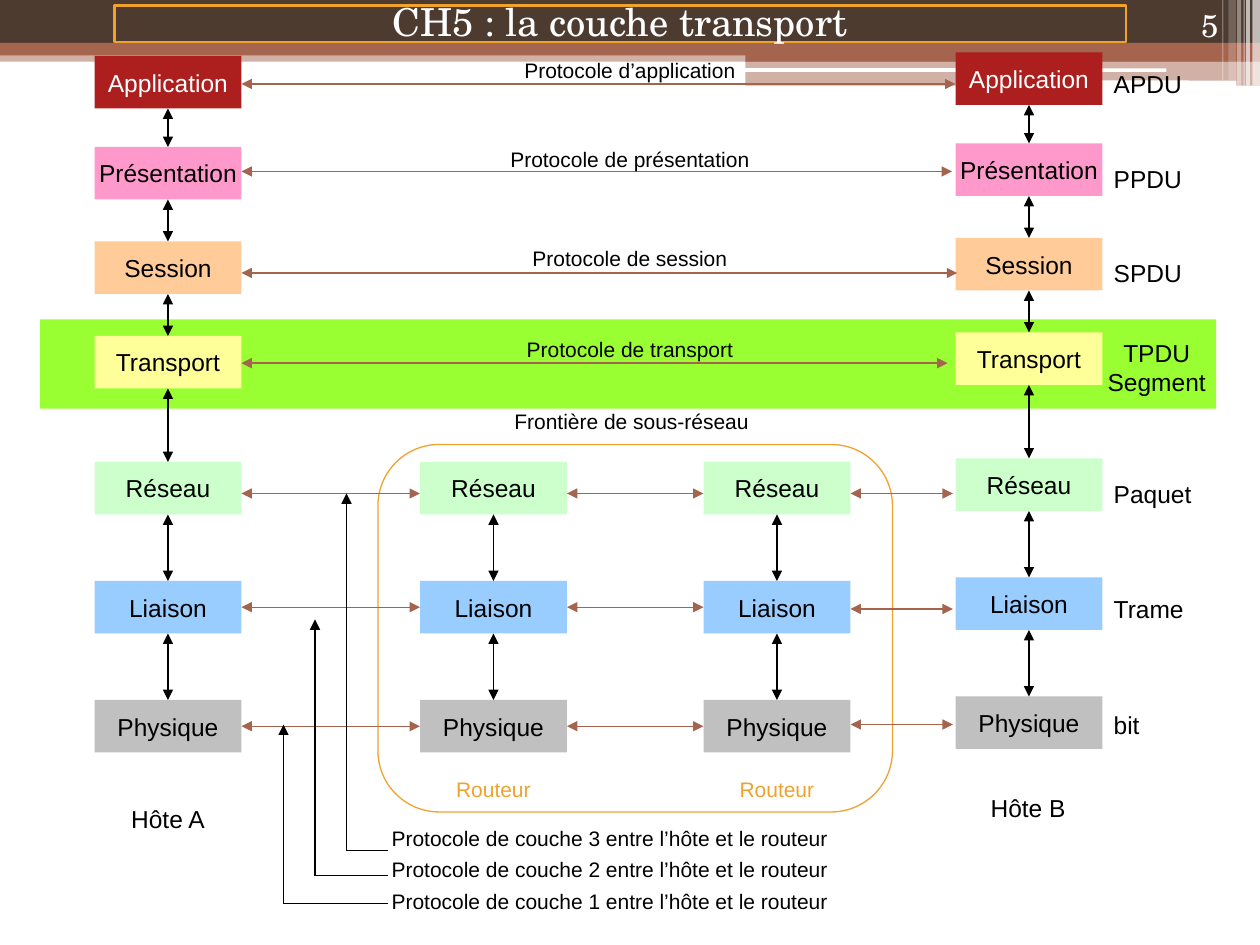
import pptx
import pptx.util
import pptx.dml.color
import pptx.enum.shapes
import pptx.enum.text
import pptx.oxml
import pptx.oxml.ns

Pt = pptx.util.Pt
SHAPE = pptx.enum.shapes.MSO_SHAPE
ALIGN = pptx.enum.text.PP_ALIGN
ANCHOR = pptx.enum.text.MSO_ANCHOR
AUTO = pptx.enum.text.MSO_AUTO_SIZE
qn = pptx.oxml.ns.qn

COLORS = {
    "black": "000000", "white": "FFFFFF", "brown": "4E3B30", "rust": "A5644E",
    "orange": "F0A22E", "highlight": "99FF33", "application": "AD1F1F",
    "presentation": "FF99CC", "session": "FFCC99", "transport": "FFFF99",
    "network": "CCFFCC", "link": "99CCFF", "physical": "C0C0C0",
}
BANDS = [
    (0, 28.8, 720, 6.5, "rust", 50), (0, 0, 720, 24.5, "brown", 100),
    (0, 24.5, 720, 7.2, "rust", 100), (426, 28, 294, 7.2, "rust", 100),
    (426, 34.6, 294, 14.4, "rust", 50),
]
PILLS = [(425.5, 39, 241, 2), (580.5, 46, 126, 3.2)]
STRIPES = [
    (715.7, 4.3, 49, 65), (712.1, 2.2, 49, 65), (710.6, 0.7, 49, 60),
    (707, 2.2, 49, 40), (702, 4.3, 46, 20), (698.4, 0.7, 46, 30),
]
LAYERS = [
    ("Application", "application", 32), ("Présentation", "presentation", 84),
    ("Session", "session", 138), ("Transport", "transport", 192),
    ("Réseau", "network", 264), ("Liaison", "link", 332),
    ("Physique", "physical", 400),
]
STACKS = [(54, 0, 0), (240, 0, 4), (402, 0, 4), (546, -2, 0)]
BOX_W, BOX_H = 84, 30
PEERS = [
    ("Protocole d’application", 546, 48, 29.5),
    ("Protocole de présentation", 544, 98, 80),
    ("Protocole de session", 547, 156, 137),
    ("Protocole de transport", 541.5, 207.5, 188.5),
]
ROUTED_ROWS = {4: 282, 5: 348, 6: 414}
NOTES = [
    ("Protocole de couche 3 entre l’hôte et le routeur", 198, 282, 486, 468),
    ("Protocole de couche 2 entre l’hôte et le routeur", 180, 354, 500.5, 486),
    ("Protocole de couche 1 entre l’hôte et le routeur", 162, 414, 516.5, 504),
]
UNITS = [("APDU", 35.5), ("PPDU", 90), ("SPDU", 143.5), ("Paquet", 270),
         ("Trame", 335.5), ("bit", 402)]
HOSTS = [("Hôte A", 96, 455.5), ("Hôte B", 587.5, 449.5)]

deck = pptx.Presentation()
deck.slide_width, deck.slide_height = Pt(720), Pt(540)
page = deck.slides.add_slide(deck.slide_layouts[5])


def rgb(name):
    return pptx.dml.color.RGBColor.from_string(COLORS[name])


def add_block(left, top, width, height, fill=None, opacity=100,
              kind=SHAPE.RECTANGLE, line=None):
    shape = page.shapes.add_shape(kind, Pt(left), Pt(top), Pt(width), Pt(height))
    shape.shadow.inherit = False
    if fill:
        shape.fill.solid()
        shape.fill.fore_color.rgb = rgb(fill)
        if opacity < 100:
            color = shape.element.spPr.find(".//" + qn("a:srgbClr"))
            names = pptx.oxml.ns.nsdecls("a")
            color.append(pptx.oxml.parse_xml(f'<a:alpha {names} val="{opacity * 1000}"/>'))
    else:
        shape.fill.background()
    if line:
        shape.line.color.rgb = rgb(line)
        shape.line.width = Pt(0.75)
    else:
        shape.line.fill.background()
    return shape


def write(shape, text, size, color="black", align=ALIGN.CENTER,
          font="Arial", anchor=ANCHOR.MIDDLE, wrap=False):
    frame = shape.text_frame
    frame.text = text
    frame.word_wrap = wrap
    frame.vertical_anchor = anchor
    for para in frame.paragraphs:
        para.alignment = align
        for span in para.runs:
            span.font.name = font
            span.font.size = Pt(size)
            span.font.color.rgb = rgb(color)


def add_label(text, left, top, width, height, size, **style):
    box = page.shapes.add_textbox(Pt(left), Pt(top), Pt(width), Pt(height))
    write(box, text, size, **style)
    box.text_frame.auto_size = AUTO.SHAPE_TO_FIT_TEXT


def add_line(x1, y1, x2, y2, color="black", ends=("headEnd", "tailEnd")):
    line = page.shapes.add_connector(
        pptx.enum.shapes.MSO_CONNECTOR.STRAIGHT, Pt(x1), Pt(y1), Pt(x2), Pt(y2))
    line.line.color.rgb = rgb(color)
    line.line.width = Pt(0.75)
    names = pptx.oxml.ns.nsdecls("a")
    outline = line.element.spPr.find(qn("a:ln"))
    for end in ends:
        outline.append(pptx.oxml.parse_xml(f'<a:{end} {names} type="triangle"/>'))
    line.element.spPr.append(pptx.oxml.parse_xml(f"<a:effectLst {names}/>"))
    return line


def join(line, first, first_side, second, second_side):
    line.begin_connect(first, first_side)
    line.end_connect(second, second_side)


for band in BANDS:
    add_block(*band)
for pill in PILLS:
    add_block(*pill, "white", kind=SHAPE.ROUNDED_RECTANGLE)
for left, width, height, opacity in STRIPES:
    add_block(left, 0, width, height, "white", opacity)
add_block(23, 182.5, 672, 51, "highlight")

stacks = []
for left, shift, first_layer in STACKS:
    boxes = {}
    for row, (name, color, top) in enumerate(LAYERS):
        if row >= first_layer:
            boxes[row] = add_block(left, top + shift, BOX_W, BOX_H, color)
            write(boxes[row], name, 14, "white" if row == 0 else "black")
    stacks.append(boxes)

for text, right, y, label_top in PEERS:
    add_line(138, y, right, y, "rust")
    add_label(text, 280, label_top, 160, 21.6, 12)

add_block(216, 254, 294, 210, kind=SHAPE.ROUNDED_RECTANGLE, line="orange")
add_label("Frontière de sous-réseau", 281, 230, 160, 21.6, 12)
for left, shift, first_layer in STACKS[1:3]:
    add_label("Routeur", left + 10, 440, 64, 21.6, 12, color="orange")

for number in range(len(STACKS) - 1):
    start = STACKS[number][0] + BOX_W
    end = STACKS[number + 1][0]
    level = STACKS[number][1] == STACKS[number + 1][1]
    for row, y in ROUTED_ROWS.items():
        line = add_line(start, y, end if level else end - 1.5, y, "rust")
        if level and abs(y - LAYERS[row][2] - BOX_H / 2) <= 1:
            join(line, stacks[number][row], 3, stacks[number + 1][row], 1)

for (left, shift, first_layer), boxes in zip(STACKS, stacks):
    center = left + BOX_W / 2
    for row in range(first_layer, len(LAYERS) - 1):
        line = add_line(center, LAYERS[row][2] + BOX_H + shift,
                        center, LAYERS[row + 1][2] + shift)
        join(line, boxes[row], 2, boxes[row + 1], 0)

for text, center, top in HOSTS:
    add_label(text, center - 34, top, 68, 24.5, 14)
for text, x, tip, base, top in NOTES:
    add_label(text, 211, top, 275, 21.6, 12)
    add_line(x, base, x, tip, ends=("tailEnd",))
    add_line(x, base, 221.5, base, ends=())
for text, top in UNITS:
    add_label(text, 629.3, top, 68, 24.5, 14, align=ALIGN.LEFT)
add_label("TPDU\nSegment", 621, 189.5, 80, 41, 14)

title = page.shapes.title
title.left, title.top, title.width, title.height = Pt(65.5), Pt(3), Pt(578), Pt(21)
write(title, "CH5 : la couche transport", 22, "white", font="TeX Gyre Schola", wrap=True)
title.text_frame.auto_size = AUTO.NONE
title.text_frame.paragraphs[0].line_spacing = 0.9
title.line.color.rgb = rgb("orange")
title.line.width = Pt(1.5)
page.shapes.element.append(title.element)

number_box = page.shapes.add_textbox(Pt(643.7), Pt(0), Pt(59.8), Pt(28.8))
write(number_box, "5", 18, "white", ALIGN.RIGHT, "TeX Gyre Schola", ANCHOR.BOTTOM, True)

deck.save("out.pptx")
